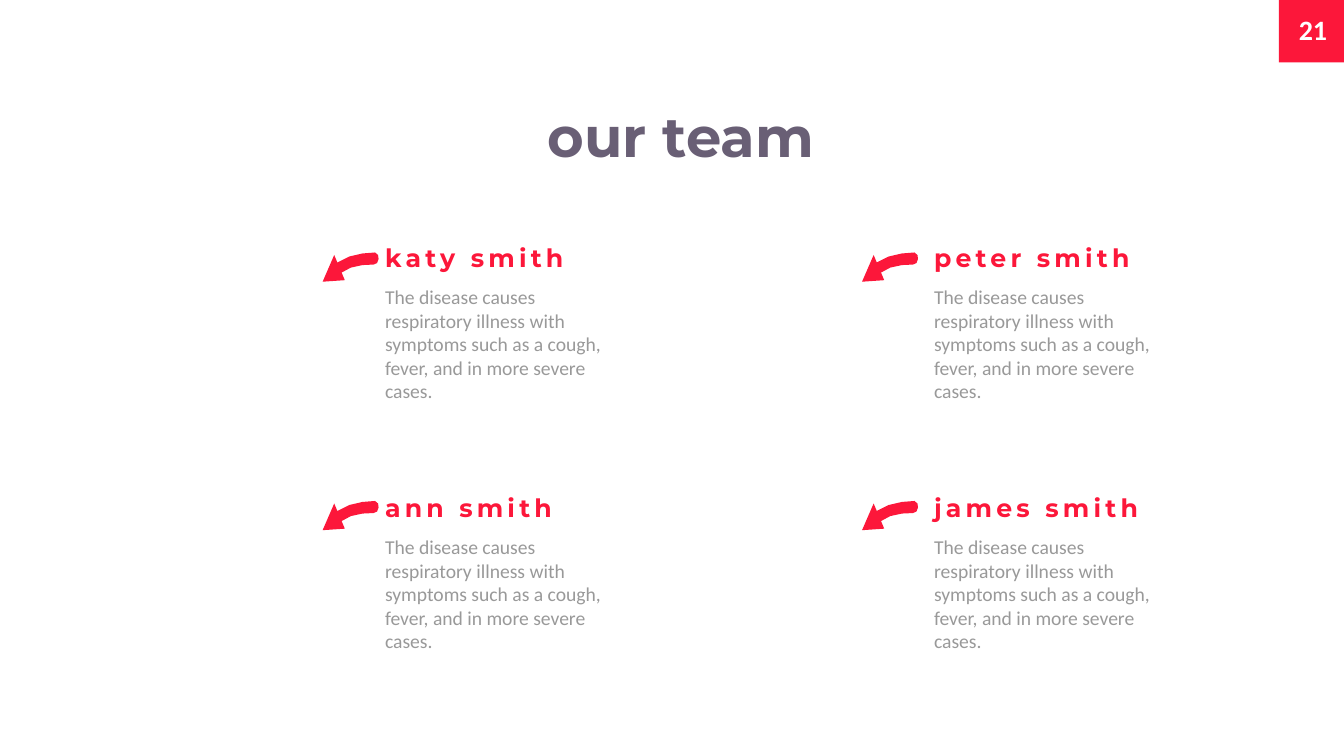
from dataclasses import dataclass
from itertools import product
from pptx import Presentation
from pptx.dml.color import RGBColor
from pptx.enum.shapes import MSO_SHAPE
from pptx.enum.text import PP_ALIGN
from pptx.util import Inches, Pt


@dataclass(frozen=True)
class Theme:
    red: RGBColor = RGBColor(0xFC, 0x17, 0x3A)
    plum: RGBColor = RGBColor(0x69, 0x5F, 0x75)
    grey: RGBColor = RGBColor(0x99, 0x99, 0x99)
    white: RGBColor = RGBColor(0xFF, 0xFF, 0xFF)
    heading: str = "Montserrat"
    body: str = "Calibri"
    title_size: int = 80
    number_size: int = 40
    name_size: int = 36
    bio_size: int = 28


theme = Theme()
prs = Presentation()
prs.slide_width, prs.slide_height = Inches(26.66), Inches(15)
s = prs.slides.add_slide(prs.slide_layouts[6])


def add_text(box, text, font, size, color, bold=False, align=PP_ALIGN.LEFT, wrap=True, spacing=0):
    tf = s.shapes.add_textbox(*map(Inches, box)).text_frame
    tf.word_wrap = wrap
    p = tf.paragraphs[0]
    p.alignment = align
    r = p.add_run()
    r.text = text
    r.font.name, r.font.size, r.font.bold = font, Pt(size), bold
    r.font.color.rgb = color
    if spacing:
        r.font._element.set("spc", str(spacing * 100))


def paint(sp):
    sp.shadow.inherit = False
    sp.fill.solid()
    sp.fill.fore_color.rgb = theme.red
    sp.line.fill.background()


paint(s.shapes.add_shape(MSO_SHAPE.RECTANGLE, *map(Inches, (25.37, 0, 1.3, 1.24))))
add_text((25.42, 0.19, 1.25, 0.88), "21", theme.body, theme.number_size, theme.white,
         bold=True, align=PP_ALIGN.CENTER, wrap=False)
add_text((10.72, 1.97, 5.57, 1.45), "our team", theme.heading, theme.title_size, theme.plum,
         bold=True, align=PP_ALIGN.CENTER, wrap=False)

bio = ("The disease causes respiratory illness with symptoms such as a cough, "
       "fever, and in more severe cases.")
names = ["katy smith", "peter smith", "ann smith", "james smith"]
for name, (y, x) in zip(names, product((4.75, 9.71), (7.54, 18.43))):
    add_text((x, y, 5.03, 0.71), name, theme.heading, theme.name_size, theme.red,
             bold=True, spacing=6)
    add_text((x, y + 0.86, 4.53, 2.46), bio, theme.body, theme.bio_size, theme.grey)

tail = [(1.04, 0.05), (0.79, 0.07), (0.53, 0.13), (0.23, 0.28), (0.18, 0.35), (0.19, 0.44),
        (0.24, 0.49), (0.3, 0.49), (0.56, 0.35), (0.79, 0.3), (1.01, 0.29), (1.08, 0.26),
        (1.11, 0.18), (1.1, 0.1)]
head = [(0.44, 0.6), (0, 0.63), (0.23, 0.1)]

for y, x in product((4.96, 9.89), (6.4, 17.1)):
    for outline in (tail, head):
        points = [(Inches(x + dx), Inches(y + dy)) for dx, dy in outline]
        builder = s.shapes.build_freeform(*points[0])
        builder.add_line_segments(points[1:], close=True)
        paint(builder.convert_to_shape())

prs.save("out.pptx")
